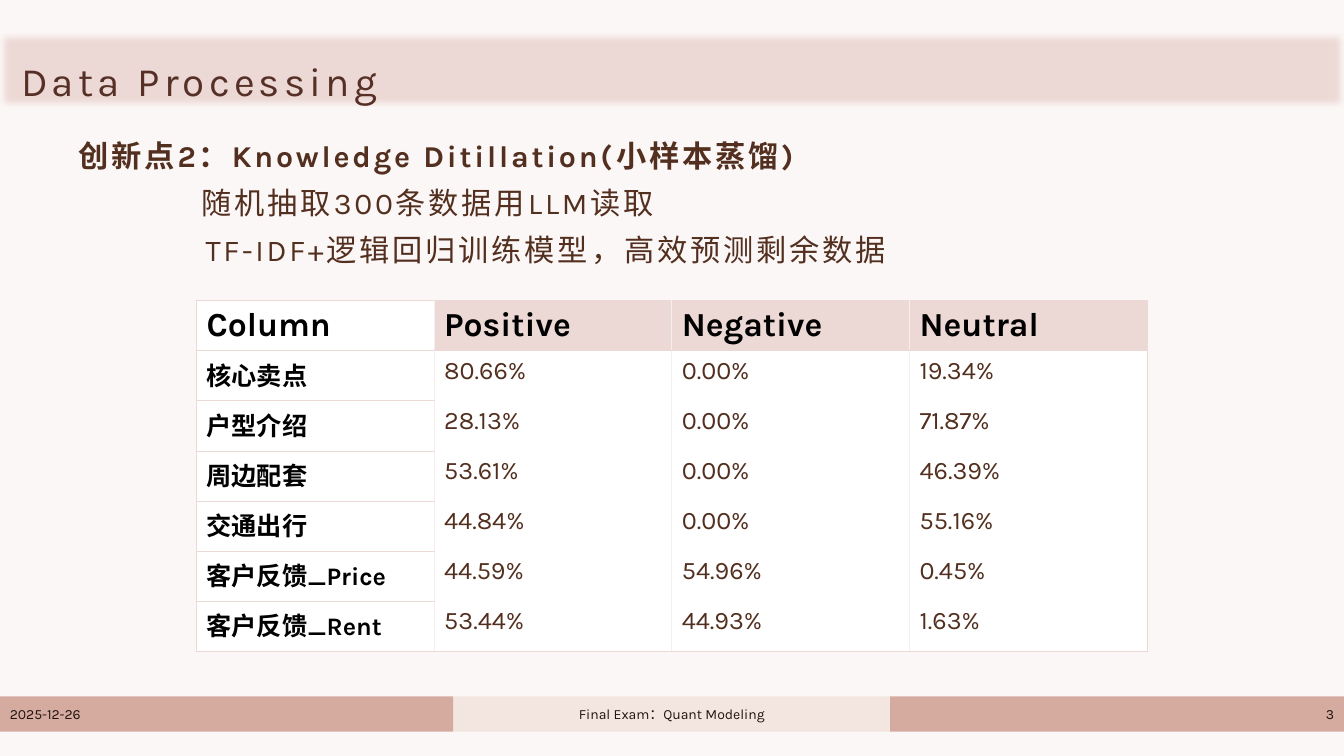
from dataclasses import dataclass

from lxml import etree
from pptx import Presentation, util as u
from pptx.dml.color import RGBColor
from pptx.enum import shapes, text
from pptx.oxml import ns

# Content
TITLE = "Data Processing"
POINTS = [  # text, bold, indent in cm
    ("创新点2：Knowledge Ditillation(小样本蒸馏)", True, 0),
    ("随机抽取300条数据用LLM读取", False, 3.1),
    ("TF-IDF+逻辑回归训练模型，高效预测剩余数据", False, 3.2),
]
SENTIMENT = [
    ("Column", "Positive", "Negative", "Neutral"),
    ("核心卖点", "80.66%", "0.00%", "19.34%"),
    ("户型介绍", "28.13%", "0.00%", "71.87%"),
    ("周边配套", "53.61%", "0.00%", "46.39%"),
    ("交通出行", "44.84%", "0.00%", "55.16%"),
    ("客户反馈_Price", "44.59%", "54.96%", "0.45%"),
    ("客户反馈_Rent", "53.44%", "44.93%", "1.63%"),
]
LEFT, CENTER, RIGHT = text.PP_ALIGN.LEFT, text.PP_ALIGN.CENTER, text.PP_ALIGN.RIGHT


@dataclass(frozen=True)
class Theme:
    font: str = "Karla"
    background: str = "FBF7F6"
    rose: str = "ECD8D4"
    pale: str = "F7EFEE"
    white: str = "FFFFFF"
    black: str = "000000"
    bar: str = "D5ABA0"
    bar_middle: str = "F3E5DF"
    title: str = "563026"
    body: str = "532F1F"
    footer: str = "22130F"
    title_size: float = 28.8
    body_size: float = 21.6
    header_size: float = 24
    cell_size: float = 18
    footer_size: float = 10


THEME = Theme()
FOOTER = [  # text, width in cm, fill, alignment
    ("2025-12-26", 11.43, THEME.bar, LEFT),
    ("Final Exam：Quant Modeling", 11.0, THEME.bar_middle, CENTER),
    ("3", 11.44, THEME.bar, RIGHT),
]


def write(paragraph, words, size, color, bold=False, align=LEFT, tracking=0):
    run = paragraph.add_run()
    run.text = words
    paragraph.alignment = align
    run.font.name = THEME.font
    run.font.size = u.Pt(size)
    run.font.bold = bold
    run.font.color.rgb = RGBColor.from_string(color)
    if tracking:
        run.font._element.set("spc", str(tracking * 100))


def paint(fill, color):
    fill.solid()
    fill.fore_color.rgb = RGBColor.from_string(color)


def place(shape, left, top, width, height):
    shape.left, shape.top = u.Cm(left), u.Cm(top)
    shape.width, shape.height = u.Cm(width), u.Cm(height)


def border(cell, side, color):
    properties = cell._tc.get_or_add_tcPr()
    line = etree.SubElement(properties, ns.qn(f"a:ln{side}"), w=str(u.Pt(0.75)))
    if color is None:
        etree.SubElement(line, ns.qn("a:noFill"))
    else:
        solid = etree.SubElement(line, ns.qn("a:solidFill"))
        etree.SubElement(solid, ns.qn("a:srgbClr"), val=color)


def add_title(slide):
    title = slide.shapes.title
    place(title, 0, 0.84, 33.87, 1.85)
    paint(title.fill, THEME.rose)
    effects = etree.SubElement(title._element.spPr, ns.qn("a:effectLst"))
    etree.SubElement(effects, ns.qn("a:softEdge"), rad=str(u.Pt(5)))
    frame = title.text_frame
    frame.auto_size = text.MSO_AUTO_SIZE.NONE
    frame.vertical_anchor = text.MSO_ANCHOR.BOTTOM
    frame.margin_left, frame.margin_bottom = u.Cm(0.53), u.Cm(0.05)
    write(frame.paragraphs[0], TITLE, THEME.title_size, THEME.title, tracking=3)


def add_points(slide):
    box = slide.shapes.add_textbox(u.Cm(1.73), u.Cm(3.45), u.Cm(30.48), u.Cm(4.11))
    frame = box.text_frame
    frame.word_wrap = True
    for index, (words, bold, indent) in enumerate(POINTS):
        paragraph = frame.add_paragraph() if index else frame.paragraphs[0]
        paragraph.line_spacing = 0.9
        paragraph.space_after = u.Pt(10)
        paragraph._p.get_or_add_pPr().set("marL", str(u.Cm(indent)))
        write(paragraph, words, THEME.body_size, THEME.body, bold, tracking=2)


def add_footer(slide):
    left = 0
    for words, width, color, align in FOOTER:
        bar = slide.shapes.add_shape(shapes.MSO_SHAPE.RECTANGLE, u.Cm(left),
                                     u.Cm(17.55), u.Cm(width), u.Cm(0.89))
        bar.shadow.inherit = False
        bar.line.fill.background()
        paint(bar.fill, color)
        bar.text_frame.vertical_anchor = text.MSO_ANCHOR.MIDDLE
        write(bar.text_frame.paragraphs[0], words, THEME.footer_size, THEME.footer, align=align)
        left += width


def add_sentiment_table(slide):
    rows, columns = len(SENTIMENT), len(SENTIMENT[0])
    frame = slide.shapes.add_table(rows, columns, u.Cm(4.95), u.Cm(7.57),
                                   u.Cm(23.96), u.Cm(8.84))
    table = frame.table
    table.first_row = table.horz_banding = False

    def vertical(edge):
        return THEME.rose if edge in (0, columns) else THEME.pale

    def horizontal(edge, column):
        return THEME.rose if column == 0 or edge in (0, 1, rows) else None

    for r, record in enumerate(SENTIMENT):
        for c, words in enumerate(record):
            cell = table.cell(r, c)
            header, label = r == 0, r == 0 or c == 0
            border(cell, "L", vertical(c))
            border(cell, "R", vertical(c + 1))
            border(cell, "T", horizontal(r, c))
            border(cell, "B", horizontal(r + 1, c))
            paint(cell.fill, THEME.rose if header and c else THEME.white)
            write(cell.text_frame.paragraphs[0], words,
                  THEME.header_size if header else THEME.cell_size,
                  THEME.black if label else THEME.body, bold=label)


def main():
    presentation = Presentation()
    presentation.slide_width, presentation.slide_height = u.Cm(33.87), u.Cm(19.05)
    slide = presentation.slides.add_slide(presentation.slide_layouts[5])
    paint(slide.background.fill, THEME.background)
    add_title(slide)
    add_points(slide)
    add_footer(slide)
    add_sentiment_table(slide)
    presentation.save("out.pptx")


if __name__ == "__main__":
    main()
